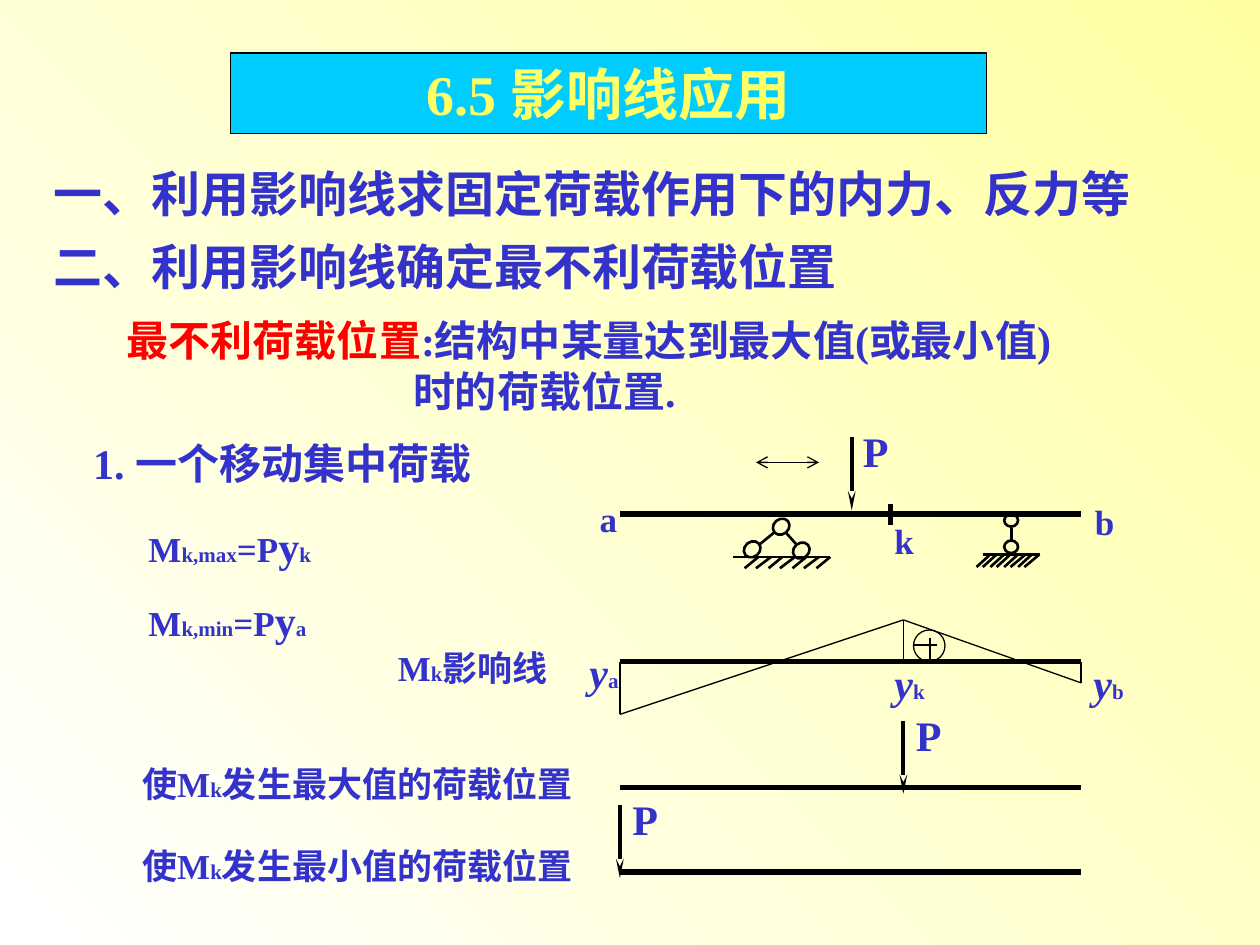
from dataclasses import dataclass

from lxml.etree import SubElement
from pptx import Presentation
from pptx.dml.color import RGBColor as RGB
from pptx.enum.shapes import MSO_CONNECTOR as Connector, MSO_SHAPE as Shape
from pptx.enum.text import MSO_ANCHOR as Anchor, MSO_AUTO_SIZE as AutoSize, PP_ALIGN as Align
from pptx.oxml.ns import qn
from pptx.util import Inches, Pt


@dataclass(frozen=True)
class Theme:
    font: str = "Times New Roman"
    ink: RGB = RGB(0x33, 0x33, 0xCC)
    accent: RGB = RGB(0xFF, 0x00, 0x00)
    title_text: RGB = RGB(0xFF, 0xFF, 0x66)
    title_fill: RGB = RGB(0x00, 0xCC, 0xFF)
    line: RGB = RGB(0, 0, 0)
    background: tuple = (RGB(0xFF, 0xFF, 0xFF), RGB(0xFF, 0xFF, 0xA1))
    title: int = 32
    heading: int = 28
    body: int = 24
    label: int = 20
    subscript: int = 12
    thin: float = 0.75
    medium: float = 1.5
    arrow: float = 2.25
    thick: float = 3


THEME = Theme()
COLUMNS, ROWS = 120, 90  # grid of twelve cells to the inch
SPAN = 44                # beam length in columns
PEAK = 27                # column of the influence line's peak


@dataclass(frozen=True)
class Box:
    """An area whose parts are placed in grid cells from its top left corner."""
    left: float
    top: float
    width: float = SPAN
    height: float = 6

    def inside(self, column, row, width=SPAN, height=6):
        return Box(self.left + column, self.top + row, width, height)

    def frame(self):
        return [cells(n) for n in (self.left, self.top, self.width, self.height)]


def cells(count):
    return Inches(round(count / 12, 2))


def style_run(run, size, color=THEME.ink, italic=False):
    font = run.font
    font.name, font.size, font.bold, font.italic = THEME.font, Pt(size), True, italic
    font.color.rgb = color


def add_runs(paragraph, runs):
    for text, *style in runs:
        run = paragraph.add_run()
        run.text = text
        style_run(run, *style)


def add_text(slide, box, *paragraphs, wrap=False):
    frame = slide.shapes.add_textbox(*box.frame()).text_frame
    frame.word_wrap = wrap
    for index, runs in enumerate(paragraphs):
        add_runs(frame.add_paragraph() if index else frame.paragraphs[0], runs)
    return frame


def add_line(slide, box, start, end, width=THEME.thin, **ends):
    points = [cells(n) for n in (box.left + start[0], box.top + start[1],
                                 box.left + end[0], box.top + end[1])]
    connector = slide.shapes.add_connector(Connector.STRAIGHT, *points)
    connector.line.color.rgb, connector.line.width = THEME.line, Pt(width)
    properties = connector.line._get_or_add_ln()
    for name, attributes in ends.items():
        SubElement(properties, qn(f"a:{name}"), attributes)
    SubElement(connector._element.spPr, qn("a:effectLst"))


def add_circle(slide, box, center, width, height, line=THEME.medium, rotation=0):
    column, row = center
    area = box.inside(column - width / 2, row - height / 2, width, height)
    circle = slide.shapes.add_shape(Shape.OVAL, *area.frame())
    circle.fill.background()
    circle.line.color.rgb, circle.line.width = THEME.line, Pt(line)
    circle.shadow.inherit = False
    circle.rotation = rotation


def add_beam(slide, box):
    add_line(slide, box, (0, 0), (SPAN, 0), THEME.thick)


def add_load(slide, box):
    add_line(slide, box, (0.1, 1.65), (0.1, 8.6), THEME.arrow,
             tailEnd={"type": "stealth", "w": "sm", "len": "lg"})
    add_text(slide, box.inside(0, 0, 4.8), [("P", THEME.body)])


def add_ground(slide, box, left, right, row, depth, first, count):
    add_line(slide, box, (left, row), (right, row), THEME.medium)
    step = (right - first) / (count - 1)
    for index in range(count):
        top = first + index * step
        add_line(slide, box, (top, row), (top - 1.35, row + depth), THEME.medium)


def add_pin_support(slide, box):
    for center in ((0, 1.2), (-2.7, 3.3), (1.9, 3.4)):
        add_circle(slide, box, center, 1.7, 1.45, rotation=320)
    add_line(slide, box, (-2.05, 2.85), (-0.7, 1.75), THEME.medium)
    add_line(slide, box, (0.5, 1.75), (1.45, 2.85), THEME.medium)
    add_ground(slide, box, -4.55, 4.7, 4, 1.1, -2.15, 7)


def add_roller_support(slide, box):
    for row in (0.6, 3.1):
        add_circle(slide, box, (0, row), 1.3, 1.2)
    add_line(slide, box, (0, 1.25), (0, 2.5), THEME.medium)
    add_ground(slide, box, -2.65, 2.65, 3.8, 1.2, -2, 8)


def add_title(slide, box):
    title = slide.shapes.title
    title.left, title.top, title.width, title.height = box.frame()
    title.fill.solid()
    title.fill.fore_color.rgb = THEME.title_fill
    title.line.color.rgb, title.line.width = THEME.line, Pt(THEME.thin)
    frame = title.text_frame
    frame.text = "6.5 影响线应用"
    frame.auto_size, frame.vertical_anchor = AutoSize.NONE, Anchor.MIDDLE
    frame.paragraphs[0].alignment = Align.CENTER
    style_run(frame.paragraphs[0].runs[0], THEME.title, THEME.title_text)


def add_headings(slide, box):
    for row, text in ((0, "一、利用影响线求固定荷载作用下的内力、反力等"),
                      (7, "二、利用影响线确定最不利荷载位置")):
        add_text(slide, box.inside(0, row, box.width, 6.8), [(text, THEME.heading)], wrap=True)
    definition = add_text(
        slide, box.inside(6.9, 14.4, 95.2, 10.8),
        [("最不利荷载位置", THEME.body, THEME.accent),
         (":结构中某量达到最大值(或最小值)", THEME.body)],
        [("时的荷载位置.", THEME.body)])
    definition.paragraphs[1]._p.get_or_add_pPr().set("marL", str(Inches(2.27)))
    add_text(slide, box.inside(3.7, 26, 39.4), [("1. 一个移动集中荷载", THEME.body)])


def add_formulas(slide, box):
    for row, extreme, point in ((0, "k,max", "k"), (7.05, "k,min", "a")):
        add_text(slide, box.inside(0, row, box.width),
                 [("M", THEME.label), (extreme, THEME.subscript), ("=P", THEME.label),
                  ("y", THEME.body), (point, THEME.subscript)], wrap=True)


def add_loaded_beam(slide, box):
    beam = box.inside(0, 9)
    add_beam(slide, beam)
    add_roller_support(slide, beam.inside(37.3, 0))
    add_pin_support(slide, beam.inside(15.4, 0))
    add_load(slide, box.inside(22, 0))
    add_line(slide, beam, (25.85, -1), (25.85, 1), THEME.thick)
    add_line(slide, box, (13, 4), (19, 4), headEnd={"type": "arrow"}, tailEnd={"type": "arrow"})
    for text, column, row in (("a", -3.1, 6.8), ("k", 25, 8.85), ("b", 44.1, 7.05)):
        add_text(slide, box.inside(column, row, 4.2, 5.3), [(text, THEME.label)])


def add_influence_line(slide, box):
    add_beam(slide, box)
    left, peak, right = (0, 5), (PEAK, -4), (SPAN, 2)
    add_line(slide, box, left, peak)
    add_line(slide, box, peak, right)
    for column, row in (left, peak, right):
        add_line(slide, box, (column, row), (column, 0))
    # Positive sign
    add_circle(slide, box, (29.5, -1.5), 3, 3, THEME.thin)
    add_line(slide, box, (28, -1.5), (30.25, -1.5))
    add_line(slide, box, (29.5, -2.25), (29.5, 0))
    # Ordinates and name
    for point, column, row in (("a", -4, -2), ("k", 25, -1), ("b", SPAN, -1)):
        add_text(slide, box.inside(column, row, 5.3),
                 [("y", THEME.body, THEME.ink, True), (point, THEME.subscript)], wrap=True)
    add_text(slide, box.inside(-22.3, -2, 17.2, 5.3),
             [("M", THEME.label), ("k", THEME.subscript), ("影响线", THEME.label)])


def add_load_position(slide, box, extreme, load_column, caption_row):
    add_beam(slide, box)
    add_load(slide, box.inside(load_column, -8))
    add_text(slide, box.inside(-46.6, caption_row, 44.6, 5.3),
             [("使M", THEME.label), ("k", THEME.subscript),
              (f"发生{extreme}的荷载位置", THEME.label)])


def main():
    presentation = Presentation()
    presentation.slide_width, presentation.slide_height = cells(COLUMNS), cells(ROWS)
    slide = presentation.slides.add_slide(presentation.slide_layouts[5])

    fill = slide.background.fill
    fill.gradient()
    fill.gradient_angle = 45
    for stop, color in zip(fill.gradient_stops, THEME.background):
        stop.color.rgb = color

    add_title(slide, Box(22, 5, 72, 7.7))
    add_headings(slide, Box(4, 15, 110, 32))
    add_formulas(slide, Box(13, 49, 20, 13))
    add_loaded_beam(slide, Box(59, 40))
    add_influence_line(slide, Box(59, 63))
    add_load_position(slide, Box(59, 75), "最大值", PEAK, -3)
    add_load_position(slide, Box(59, 83), "最小值", 0, -3.2)
    presentation.save("out.pptx")


if __name__ == "__main__":
    main()
